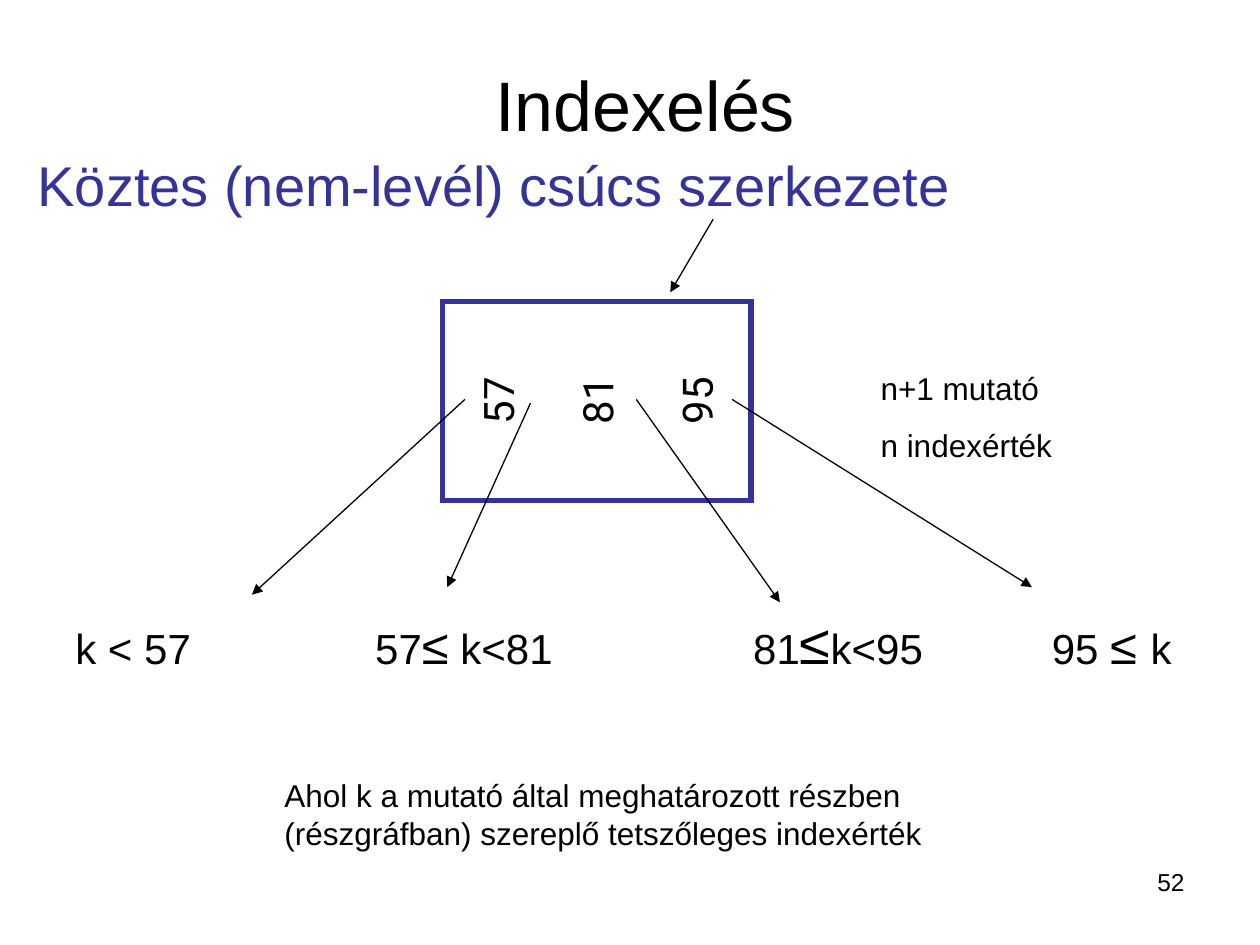
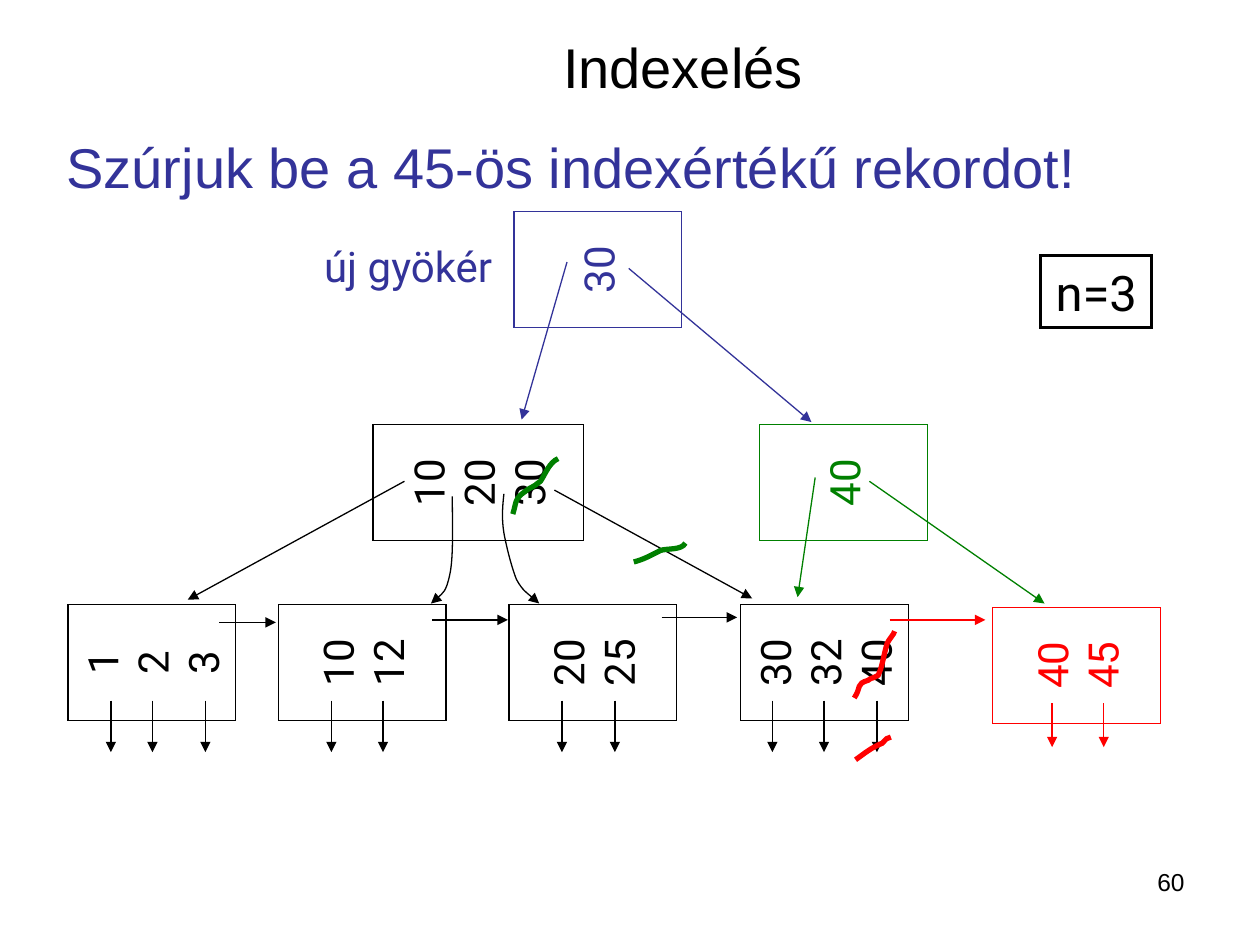
from pptx import Presentation
from pptx.dml.color import RGBColor
from pptx.enum.shapes import MSO_CONNECTOR as CONN, MSO_SHAPE as SHAPE
from pptx.enum.text import MSO_ANCHOR as ANCHOR, PP_ALIGN as ALIGN
from pptx.oxml.ns import qn
from pptx.util import Inches, Pt
from lxml import etree

BLACK, BLUE, GREEN, RED, WHITE = "000000", "333399", "008000", "FF0000", "FFFFFF"
SANS, KEY_FONT = "Arial", "Roboto"
NODE_H, LEAF_W, LEAF_Y = 0.92, 1.33, 4.8


def rgb(hex_colour):
    return RGBColor.from_string(hex_colour)


def inches(*lengths):
    return [Inches(v) for v in lengths]


def style_run(r, size, colour, font):
    r.font.size, r.font.name = Pt(size), font
    r.font.color.rgb = rgb(colour)


def write(sp, lines, size, colour=BLACK, font=SANS, align=ALIGN.LEFT,
          anchor=ANCHOR.TOP, wrap=True, gap=0):
    """Fill a shape with one paragraph per line, gap points apart."""
    tf = sp.text_frame
    tf.word_wrap, tf.vertical_anchor = wrap, anchor
    for i, line in enumerate(lines):
        p = tf.add_paragraph() if i else tf.paragraphs[0]
        p.text, p.alignment = line, align
        if i:
            p.space_before = Pt(gap)
        for r in p.runs:
            style_run(r, size, colour, font)


def text(s, box, lines, size, **options):
    write(s.shapes.add_textbox(*inches(*box)), lines, size, **options)


def set_line(sp, colour, width, arrow=False):
    sp.line.color.rgb, sp.line.width = rgb(colour), Pt(width)
    ln = sp.line._get_or_add_ln()
    etree.SubElement(ln, qn("a:miter"), lim="800000")
    if arrow:
        etree.SubElement(ln, qn("a:tailEnd"), type="triangle")


def arrow(s, x1, y1, x2, y2, colour=BLACK):
    c = s.shapes.add_connector(CONN.STRAIGHT, *inches(x1, y1, x2, y2))
    set_line(c, colour, 0.75, arrow=True)
    etree.SubElement(c._element.spPr, qn("a:effectLst"))


def rectangle(s, box, colour, width, fill=None):
    sp = s.shapes.add_shape(SHAPE.RECTANGLE, *inches(*box))
    sp.shadow.inherit = False
    if fill:
        sp.fill.solid()
        sp.fill.fore_color.rgb = rgb(fill)
    else:
        sp.fill.background()
    set_line(sp, colour, width)
    return sp


def node(s, box, keys, pointers, colour=BLACK, border=0.75, gap=0, key_colour=BLACK):
    """Index node with upright keys; pointers are relative to its corner."""
    x, y, w, h = box
    turned = (x + (w - h) / 2, y + (h - w) / 2, h, w)
    sp = rectangle(s, turned, colour, border, WHITE)
    sp.rotation = 270
    write(sp, keys, 24, key_colour, KEY_FONT, ALIGN.CENTER, ANCHOR.MIDDLE, False, gap)
    for x1, y1, x2, y2 in pointers:
        arrow(s, x + x1, y + y1, x + x2, y + y2, key_colour)


def leaf(s, x, y, keys, record_xs, colour=BLACK, drop=0.41):
    pointers = [(dx, 0.76, dx, 0.76 + drop) for dx in record_xs]
    node(s, (x, y, LEAF_W, NODE_H), keys, pointers, colour, key_colour=colour)


def curve(s, x, y, pts, colour, width, arrow=False):
    """Draw joined cubic curves; pts are relative to the corner x, y."""
    start, *rest = [inches(x + px, y + py) for px, py in pts]
    builder = s.shapes.build_freeform(*start)
    builder.add_line_segments(rest, close=False)
    sp = builder.convert_to_shape()
    # Turn each three straight segments into one cubic segment
    segments = list(sp._element.iter(qn("a:lnTo")))
    for i in range(0, len(segments), 3):
        cubic = etree.Element(qn("a:cubicBezTo"))
        segments[i].addprevious(cubic)
        for segment in segments[i:i + 3]:
            cubic.append(segment[0])
            segment.getparent().remove(segment)
    sp.shadow.inherit = False
    sp.fill.background()
    set_line(sp, colour, width, arrow)


def new_slide(prs, number, title_box, title_size, title_align, heading_box, heading):
    """Blank slide with title, blue heading and page number."""
    s = prs.slides.add_slide(prs.slide_layouts[6])
    text(s, title_box, ["Indexelés"], title_size, align=title_align)
    text(s, heading_box, [heading], 32, colour=BLUE, anchor=ANCHOR.MIDDLE)
    text(s, (7.17, 6.83, 2.33, 0.52), [str(number)], 14, align=ALIGN.RIGHT)
    return s


def key_ranges(s, box):
    """Conditions under the four pointers, set on tab stops."""
    sp = s.shapes.add_textbox(*inches(*box))
    sp.text_frame.word_wrap = True
    p = sp.text_frame.paragraphs[0]
    tabs = etree.SubElement(p._p.get_or_add_pPr(), qn("a:tabLst"))
    for stop in (2.38, 5.38, 7.75):
        etree.SubElement(tabs, qn("a:tab"), pos=str(Inches(stop)), algn="l")
    for part, size in (("k < 57\t57", 24), ("≤", 28), (" k<81\t81", 24), ("≤", 32),
                       ("k<95\t95 ", 24), ("≤ ", 28), ("k", 24)):
        r = p.add_run()
        r.text = part
        style_run(r, size, BLACK, SANS)


def inner_node_slide(prs):
    s = new_slide(prs, 52, (3.74, 0.44, 2.76, 0.77), 40, ALIGN.CENTER,
                  (0.2, 0.84, 8.99, 1.24), "Köztes (nem-levél) csúcs szerkezete")
    key_ranges(s, (0.5, 4.78, 9, 0.65))
    node(s, (3.51, 2.39, 2.45, 1.58), ["57", "81", "95"],
         [(0.18, 0.78, -1.51, 2.33), (0.7, 0.81, 0.04, 2.27),
          (1.54, 0.78, 2.68, 2.39), (2.3, 0.78, 4.68, 2.27)],
         BLUE, border=3, gap=28)
    arrow(s, 5.66, 1.74, 5.32, 2.32)
    text(s, (2.16, 6.11, 5.43, 0.7),
         ["Ahol k a mutató által meghatározott részben "
          "(részgráfban) szereplő tetszőleges indexérték"], 18)
    text(s, (6.89, 2.88, 1.97, 0.86), ["n+1 mutató", "n indexérték"], 18, gap=11.2)


def leaf_level(s):
    """Five leaves chained from left to right; the last one is new."""
    split_x = 5.88
    leaves = [(0.54, ["1", "2", "3"], (0.34, 0.67, 1.09)),
              (2.21, ["10", "12"], (0.42, 0.83)),
              (4.04, ["20", "25"], (0.42, 0.84)),
              (split_x, ["30", "32", "40"], (0.25, 0.66, 1.08))]
    for x, keys, record_xs in leaves:
        leaf(s, x, LEAF_Y, keys, record_xs)
    leaf(s, 7.88, LEAF_Y + 0.02, ["40", "45"], (0.47, 0.88), RED, drop=0.35)

    # Links to the next leaf
    for start, end, y, colour in ((1.74, 2.19, 4.94, BLACK), (3.43, 4.03, 4.92, BLACK),
                                  (5.25, 5.85, 4.9, BLACK), (7.06, 7.82, 4.92, RED)):
        arrow(s, start, y, end, y, colour)

    # Key and record pointer struck out of the split leaf
    key_strike = [(0.9, 0.74), (0.96, 0.65), (0.91, 0.63), (1.01, 0.6), (1.02, 0.59),
                  (1.04, 0.58), (1.05, 0.58), (1.06, 0.57), (1.08, 0.57), (1.09, 0.56),
                  (1.1, 0.55), (1.1, 0.52), (1.11, 0.51), (1.13, 0.44), (1.14, 0.38),
                  (1.16, 0.31), (1.17, 0.28), (1.22, 0.23), (1.22, 0.21)]
    record_strike = [(0.91, 1.23), (0.98, 1.18), (1.04, 1.13), (1.12, 1.1),
                     (1.17, 1.05), (1.14, 1.07), (1.19, 1.05)]
    for pts in (key_strike, record_strike):
        curve(s, split_x, LEAF_Y, pts, RED, 3)


def middle_level(s, x, y):
    """Split inner node, its new green neighbour and the strokes on it."""
    node(s, (x, y, 1.67, NODE_H), ["10", "20", "30"],
         [(0.25, 0.45, -1.47, 1.39), (1.44, 0.52, 3.01, 1.38)])
    to_second = [(0.63, 0.57), (0.63, 0.81), (0.64, 1.05), (0.61, 1.19),
                 (0.58, 1.33), (0.52, 1.37), (0.46, 1.42)]
    to_third = [(1.04, 0.55), (1.03, 0.64), (1.02, 0.74), (1.04, 0.86), (1.06, 0.97),
                (1.1, 1.13), (1.14, 1.23), (1.19, 1.32), (1.29, 1.39), (1.32, 1.42)]
    for pts in (to_second, to_third):
        curve(s, x, y, pts, BLACK, 0.75, arrow=True)
    node(s, (x + 3.07, y, LEAF_W, NODE_H), ["40"],
         [(0.44, 0.42, 0.3, 1.37), (0.87, 0.45, 2.26, 1.42)], GREEN, key_colour=GREEN)
    key_strike = [(1.11, 0.71), (1.14, 0.62), (1.12, 0.59), (1.21, 0.53), (1.23, 0.51),
                  (1.26, 0.5), (1.29, 0.48), (1.3, 0.47), (1.33, 0.45), (1.33, 0.45),
                  (1.37, 0.39), (1.4, 0.3), (1.47, 0.27)]
    pointer_strike = [(2.07, 1.09), (2.15, 1.07), (2.2, 1.04), (2.28, 1),
                      (2.33, 0.98), (2.45, 1), (2.48, 0.94)]
    for pts in (key_strike, pointer_strike):
        curve(s, x, y, pts, GREEN, 3)


def insertion_slide(prs):
    s = new_slide(prs, 60, (4.37, 0.21, 2.91, 0.64), 32, ALIGN.LEFT,
                  (0.43, 0.99, 8.5, 0.65), "Szúrjuk be a 45-ös indexértékű rekordot!")
    order = rectangle(s, (8.26, 2.03, 0.88, 0.57), BLACK, 1.5)
    write(order, ["n=3"], 28, BLACK, KEY_FONT, ALIGN.CENTER, ANCHOR.MIDDLE, False)
    leaf_level(s)
    middle_level(s, 2.96, 3.37)
    # New root
    node(s, (4.08, 1.68, LEAF_W, NODE_H), ["30"],
         [(0.42, 0.4, 0.06, 1.65), (0.91, 0.45, 2.36, 1.67)], BLUE, key_colour=BLUE)
    text(s, (2.41, 1.86, 1.66, 0.5), ["új gyökér"], 24, colour=BLUE, font=KEY_FONT,
         align=ALIGN.CENTER, anchor=ANCHOR.MIDDLE, wrap=False)


def main():
    prs = Presentation()
    prs.slide_width, prs.slide_height = inches(10, 7.5)
    inner_node_slide(prs)
    insertion_slide(prs)
    prs.save("out.pptx")


if __name__ == "__main__":
    main()
